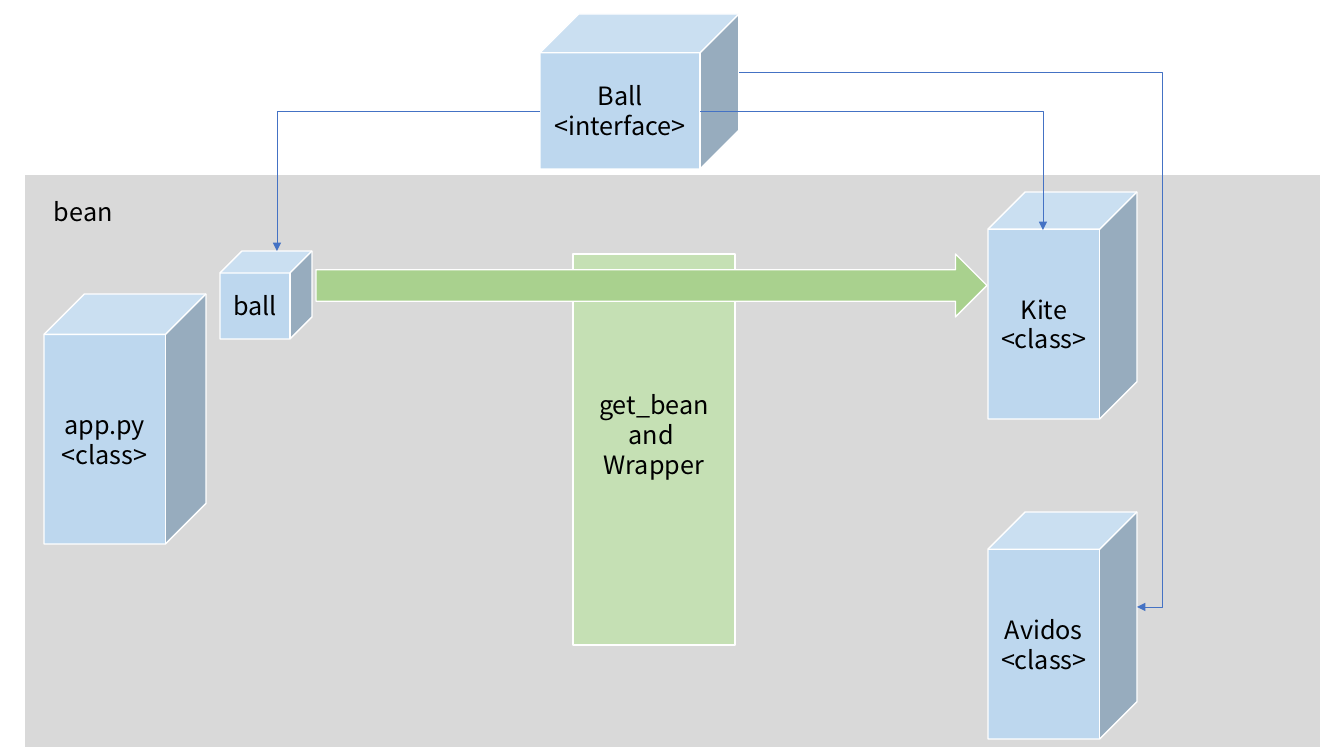
from lxml import etree
from pptx import Presentation
from pptx.dml.color import RGBColor
from pptx.enum.shapes import MSO_CONNECTOR, MSO_SHAPE
from pptx.enum.text import MSO_ANCHOR, PP_ALIGN
from pptx.oxml.ns import qn
from pptx.util import Pt

RECT = MSO_SHAPE.RECTANGLE
CUBE = MSO_SHAPE.CUBE
ARROW = MSO_SHAPE.RIGHT_ARROW
ELBOW = MSO_CONNECTOR.ELBOW
CENTER = PP_ALIGN.CENTER
LEFT = PP_ALIGN.LEFT
MIDDLE = MSO_ANCHOR.MIDDLE

WHITE = RGBColor(0xFF, 0xFF, 0xFF)
BLACK = RGBColor(0, 0, 0)
GRAY = RGBColor(0xD9, 0xD9, 0xD9)
SKY = RGBColor(0xBD, 0xD7, 0xEE)
BLUE = RGBColor(0x44, 0x72, 0xC4)
PALE = RGBColor(0xC5, 0xE0, 0xB4)
GREEN = RGBColor(0xA9, 0xD1, 0x8E)

FONT = "Noto Sans CJK KR"
SIZE = Pt(18)
PITCH = Pt(21.4)
SCALE = 914400 / 100.8


def px(num):
    return round(num * SCALE)


def write(frame, lines, align):
    frame.word_wrap = True
    for i, line in enumerate(lines):
        para = frame.paragraphs[0] if i == 0 else frame.add_paragraph()
        para.alignment = align
        para.line_spacing = PITCH
        run = para.add_run()
        run.text = line
        run.font.name = FONT
        run.font.size = SIZE
        run.font.color.rgb = BLACK


def add_block(slide, kind, box, color, lines=()):
    shape = slide.shapes.add_shape(kind, *map(px, box))
    shape.shadow.inherit = False
    shape.fill.solid()
    shape.fill.fore_color.rgb = color
    shape.line.color.rgb = WHITE
    shape.line.width = Pt(1)
    shape.text_frame.vertical_anchor = MIDDLE
    write(shape.text_frame, lines, CENTER)
    return shape


def add_label(slide, box, text):
    label = slide.shapes.add_textbox(*map(px, box))
    write(label.text_frame, [text], LEFT)


def add_link(slide, start, end, bend=None):
    link = slide.shapes.add_connector(ELBOW, *map(px, start + end))
    link.line.color.rgb = BLUE
    link.line.width = Pt(0.5)
    props = link._element.spPr
    etree.SubElement(props, qn("a:effectLst"))
    etree.SubElement(props.find(qn("a:ln")), qn("a:tailEnd"), type="triangle")
    geom = props.find(qn("a:prstGeom"))
    if bend is None:
        geom.set("prst", "bentConnector2")
    else:
        guides = geom.find(qn("a:avLst"))
        etree.SubElement(guides, qn("a:gd"), name="adj1", fmla=f"val {bend}")


def main():
    prs = Presentation()
    prs.slide_width, prs.slide_height = px(1344), px(756)
    slide = prs.slides.add_slide(prs.slide_layouts[6])

    add_block(slide, RECT, (24, 174, 1297, 574), GRAY)
    cubes = [
        ((44, 294, 162, 250), ["app.py", "<class>"]),
        ((988, 512, 149, 227), ["Avidos", "<class>"]),
        ((988, 192, 149, 227), ["Kite", "<class>"]),
        ((220, 251, 92, 88), ["ball"]),
        ((540, 14, 199, 155), ["Ball", "<interface>"]),
    ]
    for box, lines in cubes:
        add_block(slide, CUBE, box, SKY, lines)

    add_link(slide, (700, 111), (1043, 230))
    add_link(slide, (739, 72), (1137, 607), 106300)
    wrap = add_block(slide, RECT, (573, 254, 162, 391), PALE,
                     ["get_bean", "and ", "Wrapper"])
    wrap.text_frame.margin_bottom = px(35)
    add_link(slide, (540, 111), (277, 251))
    add_block(slide, ARROW, (316, 254, 671, 63), GREEN)
    add_label(slide, (44, 192, 139, 40), "bean")

    prs.save("out.pptx")


main()
